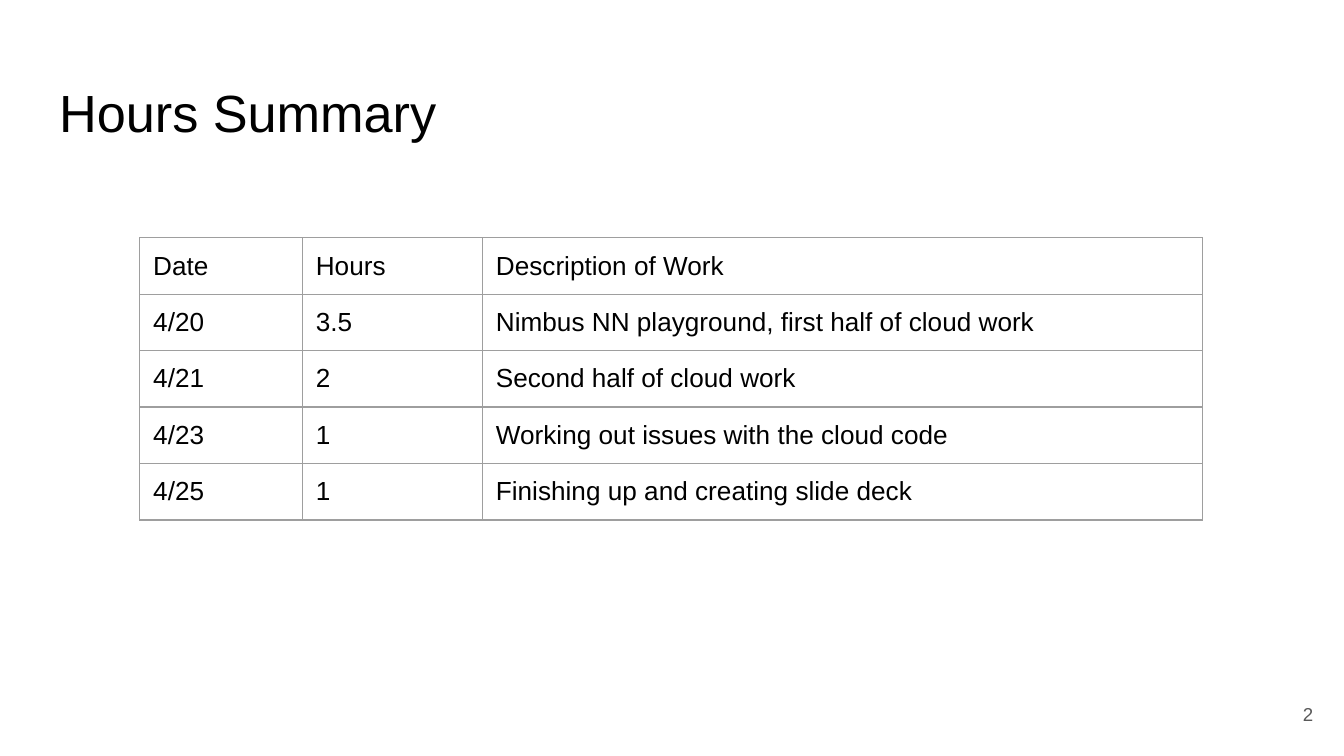
"""Build the hours summary slide with its work log table."""
from lxml.etree import SubElement
from pptx import Presentation
from pptx.dml.color import RGBColor
from pptx.enum.text import MSO_ANCHOR, MSO_AUTO_SIZE, PP_ALIGN
from pptx.oxml.ns import qn
from pptx.util import Inches, Pt


def rgb(value):
    return RGBColor.from_string(value)


def write(tf, text, size, color, align=PP_ALIGN.LEFT):
    tf.margin_left = tf.margin_right = Inches(0.1)
    tf.margin_top = tf.margin_bottom = Inches(0.1)
    p = tf.paragraphs[0]
    p.alignment = align
    r = p.add_run()
    r.text = text
    r.font.name = "Arial"
    r.font.size = Pt(size)
    r.font.color.rgb = rgb(color)


prs = Presentation()
prs.slide_width = Inches(10)
prs.slide_height = Inches(10 * 9 / 16)
s = prs.slides.add_slide(prs.slide_layouts[5])
s.background.fill.solid()
s.background.fill.fore_color.rgb = rgb("FFFFFF")

title = s.shapes.title
title.left, title.top = Inches(0.34), Inches(0.5)
title.width, title.height = Inches(9.32), Inches(0.63)
tf = title.text_frame
tf.auto_size = MSO_AUTO_SIZE.NONE
tf.vertical_anchor = MSO_ANCHOR.TOP
write(tf, "Hours Summary", 28, "000000")

rows = [
    ("Date", "Hours", "Description of Work"),
    ("4/20", "3.5", "Nimbus NN playground, first half of cloud work"),
    ("4/21", "2", "Second half of cloud work"),
    ("4/23", "1", "Working out issues with the cloud code"),
    ("4/25", "1", "Finishing up and creating slide deck"),
]
widths = [1.21, 1.34, 5.36]
row_height = 0.42
table = s.shapes.add_table(
    len(rows), len(widths), Inches(1.04), Inches(1.77),
    Inches(sum(widths)), Inches(row_height * len(rows)),
).table
table.first_row = False
table.horz_banding = False
for column, width in zip(table.columns, widths):
    column.width = Inches(width)

for i, row in enumerate(rows):
    table.rows[i].height = Inches(row_height)
    for j, text in enumerate(row):
        cell = table.cell(i, j)
        cell.margin_left = cell.margin_right = Inches(0.1)
        cell.margin_top = cell.margin_bottom = Inches(0.1)
        write(cell.text_frame, text, 14, "000000")
        tcPr = cell._tc.get_or_add_tcPr()
        for side in ("a:lnL", "a:lnR", "a:lnT", "a:lnB"):
            ln = SubElement(tcPr, qn(side), w=str(Pt(0.75)))
            fill = SubElement(ln, qn("a:solidFill"))
            SubElement(fill, qn("a:srgbClr"), val="9E9E9E")
        cell.fill.background()

number = s.shapes.add_textbox(Inches(9.27), Inches(5.1), Inches(0.6), Inches(0.43))
tf = number.text_frame
tf.word_wrap = True
tf.vertical_anchor = MSO_ANCHOR.MIDDLE
write(tf, "2", 10, "595959", PP_ALIGN.RIGHT)

prs.save("out.pptx")
